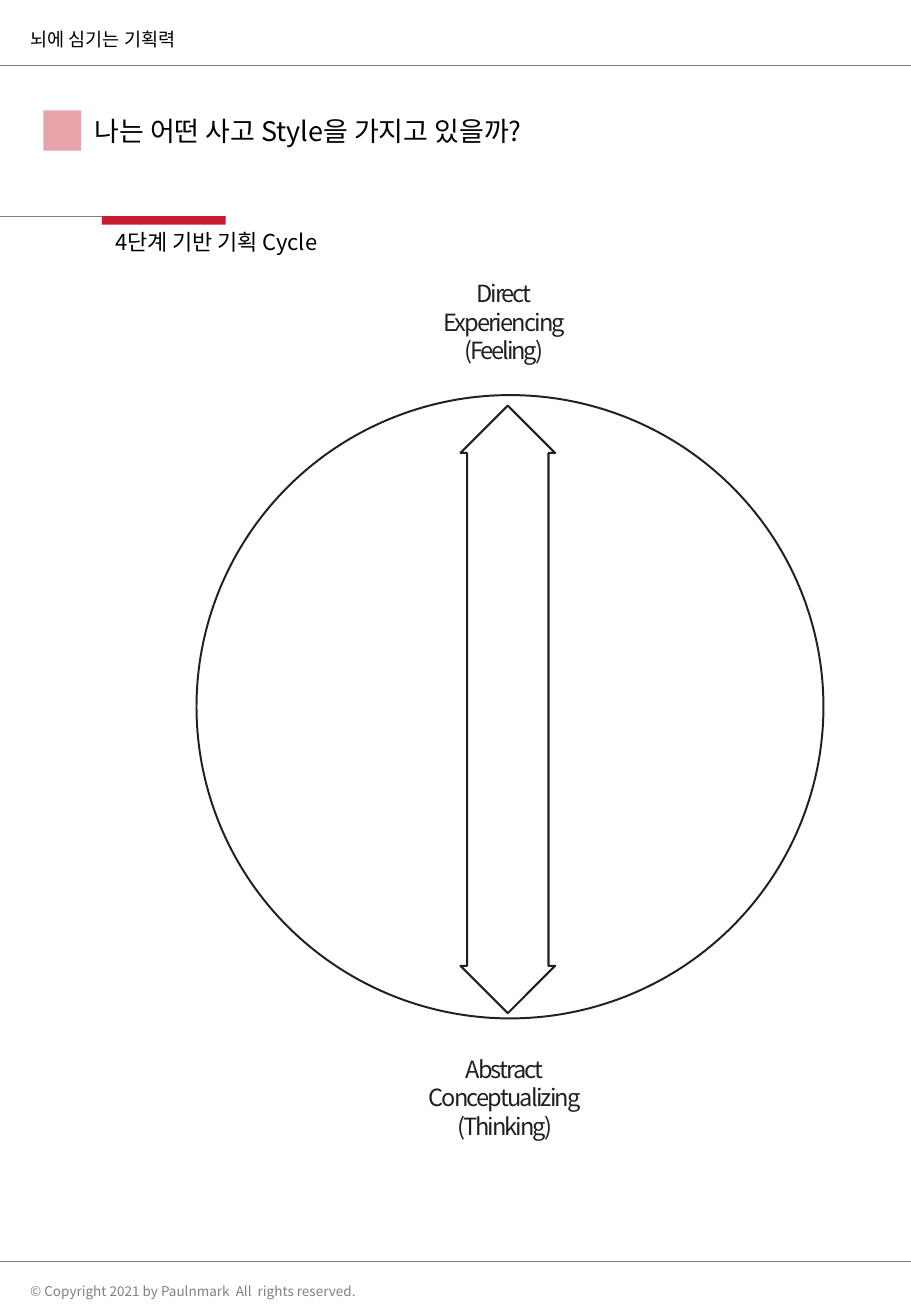
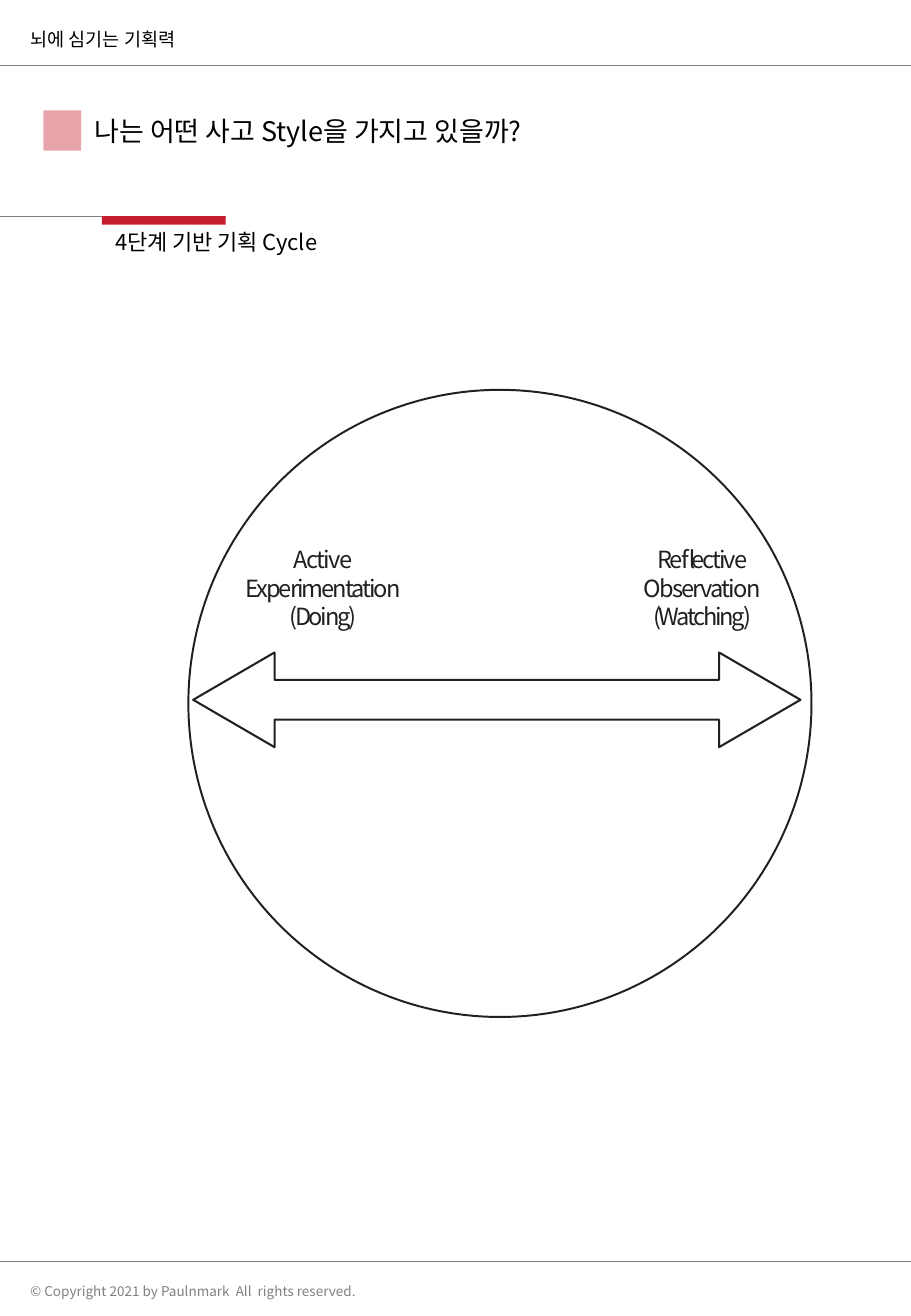
from dataclasses import dataclass

from lxml import etree
from pptx import Presentation
from pptx.dml.color import RGBColor
from pptx.enum import shapes, text
from pptx.oxml.ns import qn
from pptx.util import Cm, Pt


@dataclass(frozen=True)
class Theme:
    font: str = "Noto Sans CJK KR"
    red: str = "C71C2D"
    gray: str = "808080"
    black: str = "000000"
    ink: str = "231F20"
    title: float = 16
    subtitle: float = 13
    header: float = 11
    label: float = 14
    footer: float = 8
    rule: float = 0.25
    circle: float = 1.17
    arrow: float = 1.22


T = Theme()
WIDTH, HEIGHT = 19.05, 27.51
TITLE_ONLY = 5
SHAFT, HEAD = 0.42, 0.86
SHAPE = shapes.MSO_SHAPE

HEADER = "뇌에 심기는 기획력"
TITLE = "나는 어떤 사고 Style을 가지고 있을까?"
SUBTITLE = "4단계 기반 기획 Cycle"
COPYRIGHT = "© Copyright 2021 by Paulnmark  All  rights reserved."

# Arrow and label boxes are offsets from the circle's top left corner.
CYCLES = [
    dict(
        circle=(4.11, 8.26, 13.11, 13.03),
        arrow=(SHAPE.UP_DOWN_ARROW, (5.52, 0.22, 1.98, 12.7)),
        labels=[
            ((4.98, -2.42, 2.9, 1.8),
             [("Direct", -1.3), ("Experiencing", -1.1), ("(Feeling)", -1.3)]),
            ((4.68, 13.79, 3.53, 1.8),
             [("Abstract", -1.1), ("Conceptualizing", -1.1), ("(Thinking)", -1.2)]),
        ],
    ),
    dict(
        circle=(3.94, 8.15, 13.03, 13.11),
        arrow=(SHAPE.LEFT_RIGHT_ARROW, (0.1, 5.49, 12.7, 1.98)),
        labels=[
            ((0.76, 3.25, 4.11, 1.8),
             [("Active", -1), ("Experimentation", -1.2), ("(Doing)", -1.4)]),
            ((9.4, 3.25, 2.69, 1.8),
             [("Reflective", -1.2), ("Observation", -1.1), ("(Watching)", -1.4)]),
        ],
    ),
]


def rgb(color):
    return RGBColor.from_string(color)


def set_attrs(obj, **values):
    for name, value in values.items():
        setattr(obj, name, value)


def place(sp, box):
    set_attrs(sp, **dict(zip(("left", "top", "width", "height"), map(Cm, box))))


def write(sp, lines, size, color, align=text.PP_ALIGN.LEFT, spacing=None, inset=(0.25, 0.13)):
    """Fill a shape with (text, letter spacing in points) lines, one paragraph each."""
    tf = sp.text_frame
    dx, dy = map(Cm, inset)
    set_attrs(tf, word_wrap=True, auto_size=text.MSO_AUTO_SIZE.NONE,
              vertical_anchor=text.MSO_ANCHOR.TOP,
              margin_left=dx, margin_right=dx, margin_top=dy, margin_bottom=dy)
    for i, (line, tracking) in enumerate(lines):
        p = tf.add_paragraph() if i else tf.paragraphs[0]
        set_attrs(p, alignment=align, line_spacing=spacing)
        r = p.add_run()
        r.text = line
        set_attrs(r.font, name=T.font, size=Pt(size))
        r.font.color.rgb = rgb(color)
        rpr = r._r.get_or_add_rPr()
        etree.SubElement(rpr, qn("a:ea")).set("typeface", T.font)
        if tracking:
            rpr.set("spc", str(round(tracking * 100)))


def add_text(s, box, lines, size, color, **options):
    write(s.shapes.add_textbox(*map(Cm, box)), lines, size, color, **options)


def add_block(s, box, opacity=100):
    sp = s.shapes.add_shape(SHAPE.RECTANGLE, *map(Cm, box))
    sp.shadow.inherit = False
    sp.fill.solid()
    sp.fill.fore_color.rgb = rgb(T.red)
    sp.line.fill.background()
    if opacity < 100:
        color = sp.fill._xPr.find(f".//{qn('a:srgbClr')}")
        etree.SubElement(color, qn("a:alpha")).set("val", str(opacity * 1000))


def add_rule(s, y, width=WIDTH):
    line = s.shapes.add_connector(shapes.MSO_CONNECTOR.STRAIGHT, 0, Cm(y), Cm(width), Cm(y))
    line.line.color.rgb = rgb(T.gray)
    line.line.width = Pt(T.rule)
    etree.SubElement(line._element.spPr, qn("a:effectLst"))


def add_outline(s, kind, box, weight):
    sp = s.shapes.add_shape(kind, *map(Cm, box))
    sp.shadow.inherit = False
    sp.fill.background()
    sp.line.color.rgb = rgb(T.ink)
    sp.line.width = Pt(weight)
    return sp


def add_frame(s):
    """Draw the header, title, subtitle and footer that every slide has."""
    add_block(s, (0.91, 2.31, 0.79, 0.84), opacity=40)
    add_rule(s, 4.52, 4.72)
    add_block(s, (2.13, 4.52, 2.59, 0.18))
    add_rule(s, 1.37)
    add_rule(s, 26.37)
    add_text(s, (0.38, 26.7, 8.92, 0.58), [(COPYRIGHT, None)], T.footer, T.gray)
    place(s.shapes.title, (1.73, 2.34, 16.43, 1.5))
    write(s.shapes.title, [(TITLE, None)], T.title, T.black, spacing=0.9)
    add_text(s, (2.16, 4.72, 15.39, 1.09), [(SUBTITLE, None)], T.subtitle, T.black, spacing=0.9)
    add_text(s, (0.38, 0.51, 15.39, 1.09), [(HEADER, None)], T.header, T.black, spacing=0.9)


def add_cycle(s, circle, arrow, labels):
    def inside(box):
        return (circle[0] + box[0], circle[1] + box[1], *box[2:])

    add_outline(s, SHAPE.OVAL, circle, T.circle)
    kind, box = arrow
    sp = add_outline(s, kind, inside(box), T.arrow)
    sp.adjustments[0], sp.adjustments[1] = SHAFT, HEAD
    for box, lines in labels:
        add_text(s, inside(box), lines, T.label, T.ink,
                 align=text.PP_ALIGN.CENTER, inset=(0, 0))


def main():
    prs = Presentation()
    set_attrs(prs, slide_width=Cm(WIDTH), slide_height=Cm(HEIGHT))
    for cycle in CYCLES:
        s = prs.slides.add_slide(prs.slide_layouts[TITLE_ONLY])
        add_frame(s)
        add_cycle(s, **cycle)
    prs.save("out.pptx")


if __name__ == "__main__":
    main()
